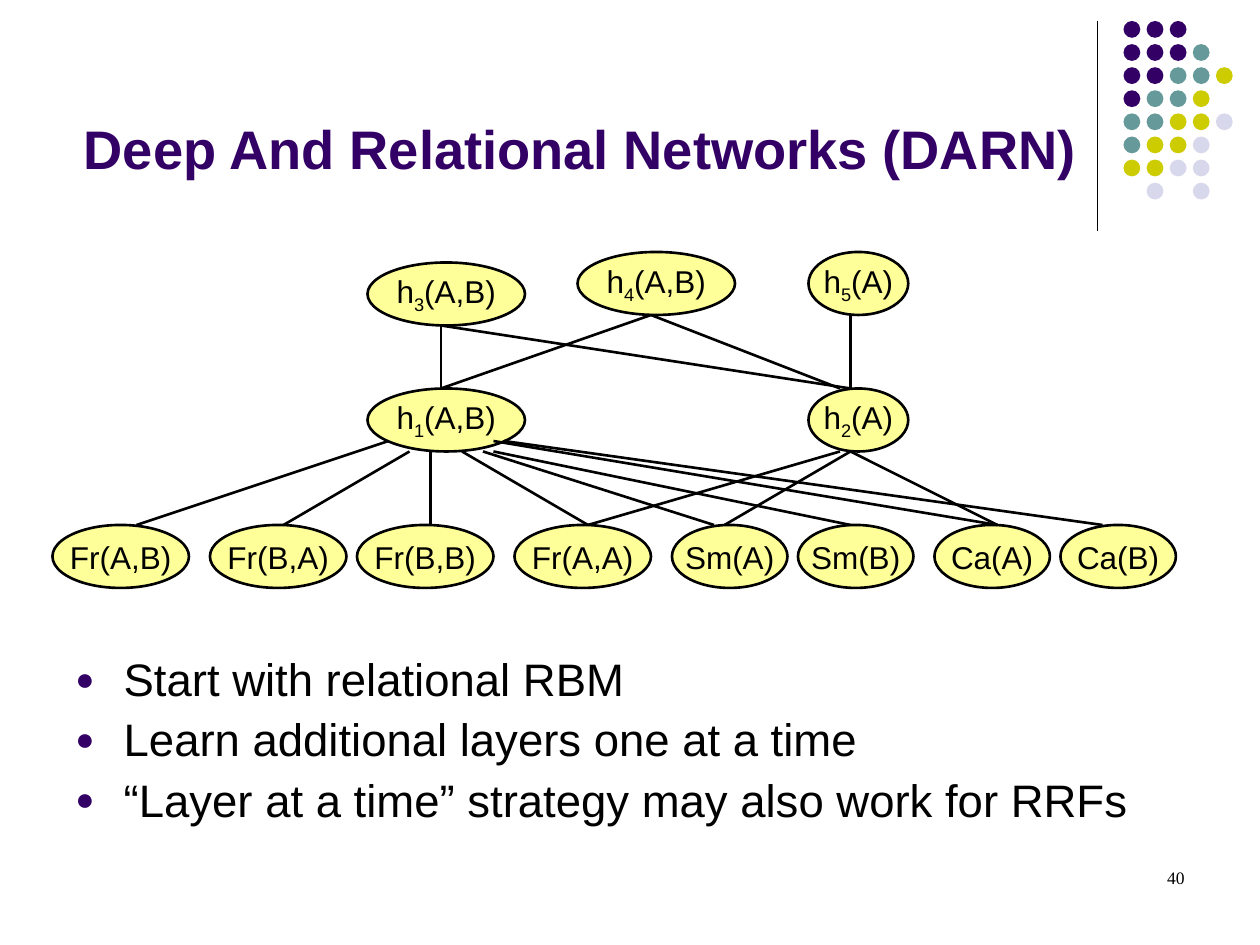
"""Build the slide on Deep And Relational Networks."""
from lxml.etree import SubElement
from pptx import Presentation
from pptx.dml.color import RGBColor
from pptx.enum.shapes import MSO_CONNECTOR as Connector, MSO_SHAPE as Shape
from pptx.enum.text import MSO_ANCHOR as Anchor, PP_ALIGN as Align
from pptx.oxml.ns import qn
from pptx.util import Pt

EMU_PER_PX = 7620
COLORS = {
    "ink": "000000", "node": "FFFF99",
    "P": "330066", "T": "669999", "Y": "CCCC00", "L": "D8D8EC",
}
DOT_ROWS = ["PPP", "PPPT", "PPTTY", "PTTY", "TTYYL", "TYYL", "YYLL", " L L"]
DOT_LEFT, DOT_TOP, DOT_PITCH, DOT_SIZE = 1070, 20, 22, 16

NODE_HEIGHT = 60
ATOM_TOP, HIDDEN_TOP = 500, 370
HIDDEN_NODES = [
    ("1", "(A,B)", 350, HIDDEN_TOP, 150),
    ("2", "(A)", 770, HIDDEN_TOP, 95),
    ("3", "(A,B)", 350, 250, 150),
    ("4", "(A,B)", 550, 240, 150),
    ("5", "(A)", 770, 240, 95),
]
ATOM_GROUPS = [
    (130, [("Fr(A,B)", 50), ("Fr(B,A)", 200), ("Fr(B,B)", 340), ("Fr(A,A)", 490)]),
    (110, [("Sm(A)", 640), ("Sm(B)", 760), ("Ca(A)", 890), ("Ca(B)", 1010)]),
]
ATOM_EDGES = [
    (130, 370, 420), (270, 390, 430), (410, 410, 430), (560, 440, 430),
    (680, 460, 430), (810, 470, 430), (950, 470, 420), (1050, 480, 420),
    (690, 810, 430), (560, 800, 430), (950, 810, 430),
]
TOP_EDGES = [
    (810, 420, 310), (420, 420, 310), (810, 810, 300),
    (800, 620, 300), (420, 620, 300),
]
POINTS = [
    "Start with relational RBM",
    "Learn additional layers one at a time",
    "“Layer at a time” strategy may also work for RRFs",
]


def px(*lengths):
    """Turn px lengths into EMU."""
    return [length * EMU_PER_PX for length in lengths]


def rgb(name):
    """Look up a named colour."""
    return RGBColor.from_string(COLORS[name])


def style(paragraph, size, color="ink", face="Arial", bold=False):
    """Set the font of a paragraph."""
    font = paragraph.font
    font.name, font.size, font.bold = face, Pt(size), bold
    font.color.rgb = rgb(color)


def add_line(slide, start, end, width):
    """Draw a straight black line without shadow."""
    line = slide.shapes.add_connector(Connector.STRAIGHT, *px(*start, *end))
    line.line.color.rgb = rgb("ink")
    line.line.width = Pt(width)
    SubElement(line._element.spPr, qn("a:effectLst"))


def add_ellipse(slide, box, color):
    """Draw a filled ellipse without outline."""
    ellipse = slide.shapes.add_shape(Shape.OVAL, *px(*box))
    ellipse.shadow.inherit = False
    ellipse.fill.solid()
    ellipse.fill.fore_color.rgb = rgb(color)
    ellipse.line.fill.background()
    return ellipse


def add_node(slide, left, top, width, name, subscript="", arguments=""):
    """Draw a network node with its label."""
    node = add_ellipse(slide, (left, top, width, NODE_HEIGHT), "node")
    node.line.color.rgb = rgb("ink")
    node.line.width = Pt(1.5)
    frame = node.text_frame
    frame.word_wrap = False
    frame.vertical_anchor = Anchor.MIDDLE
    label = frame.paragraphs[0]
    label.alignment = Align.CENTER
    style(label, 18)
    label.add_run().text = name
    if subscript:
        index = label.add_run()
        index.text = subscript
        index._r.get_or_add_rPr().set("baseline", "-25000")
        label.add_run().text = arguments


def add_frame(slide, box, anchor=Anchor.TOP):
    """Add a wrapping text box and return its frame."""
    frame = slide.shapes.add_textbox(*px(*box)).text_frame
    frame.word_wrap = True
    frame.vertical_anchor = anchor
    return frame


def add_bullet(paragraph):
    """Give a paragraph a round bullet and a hanging indent."""
    props = paragraph._p.get_or_add_pPr()
    indent = px(46)[0]
    props.set("marL", str(indent))
    props.set("indent", str(-indent))
    bullet_color = SubElement(props, qn("a:buClr"))
    SubElement(bullet_color, qn("a:srgbClr"), val=COLORS["P"])
    SubElement(props, qn("a:buSzPct"), val="70000")
    SubElement(props, qn("a:buFont"), typeface="Arial")
    SubElement(props, qn("a:buChar"), char="●")


def add_points(slide):
    """Write the bulleted points."""
    frame = add_frame(slide, (60, 620, 1080, 185))
    for number, point in enumerate(POINTS):
        paragraph = frame.add_paragraph() if number else frame.paragraphs[0]
        paragraph.text = point
        add_bullet(paragraph)
        paragraph.line_spacing = 0.9
        if number:
            paragraph.space_before = Pt(6.5)
        style(paragraph, 26)


def add_dots(slide):
    """Draw the corner grid of dots."""
    for row, colors in enumerate(DOT_ROWS):
        for column, color in enumerate(colors):
            if color != " ":
                left = DOT_LEFT + column * DOT_PITCH
                top = DOT_TOP + row * DOT_PITCH
                add_ellipse(slide, (left, top, DOT_SIZE, DOT_SIZE), color)


def add_network(slide):
    """Draw the nodes and the edges between the layers."""
    for subscript, arguments, left, top, width in HIDDEN_NODES:
        add_node(slide, left, top, width, "h", subscript, arguments)
    for width, atoms in ATOM_GROUPS:
        for name, left in atoms:
            add_node(slide, left, ATOM_TOP, width, name)
    for lower_top, edges in ((ATOM_TOP, ATOM_EDGES), (HIDDEN_TOP, TOP_EDGES)):
        for lower_x, upper_x, upper_y in edges:
            add_line(slide, (lower_x, lower_top), (upper_x, upper_y), 1.5)


def main():
    """Build and save the slide."""
    deck = Presentation()
    deck.slide_width, deck.slide_height = px(1200, 900)
    slide = deck.slides.add_slide(deck.slide_layouts[6])

    add_line(slide, (1045, 20), (1045, 220), 0.75)
    add_dots(slide)
    title = add_frame(slide, (68, 24, 973, 154), Anchor.BOTTOM).paragraphs[0]
    title.text = "Deep And Relational Networks (DARN)"
    style(title, 31, "P", bold=True)
    add_points(slide)
    add_network(slide)
    page = add_frame(slide, (860, 820, 280, 60)).paragraphs[0]
    page.text = "40"
    page.alignment = Align.RIGHT
    style(page, 10, face="Times New Roman")

    deck.save("out.pptx")


if __name__ == "__main__":
    main()
